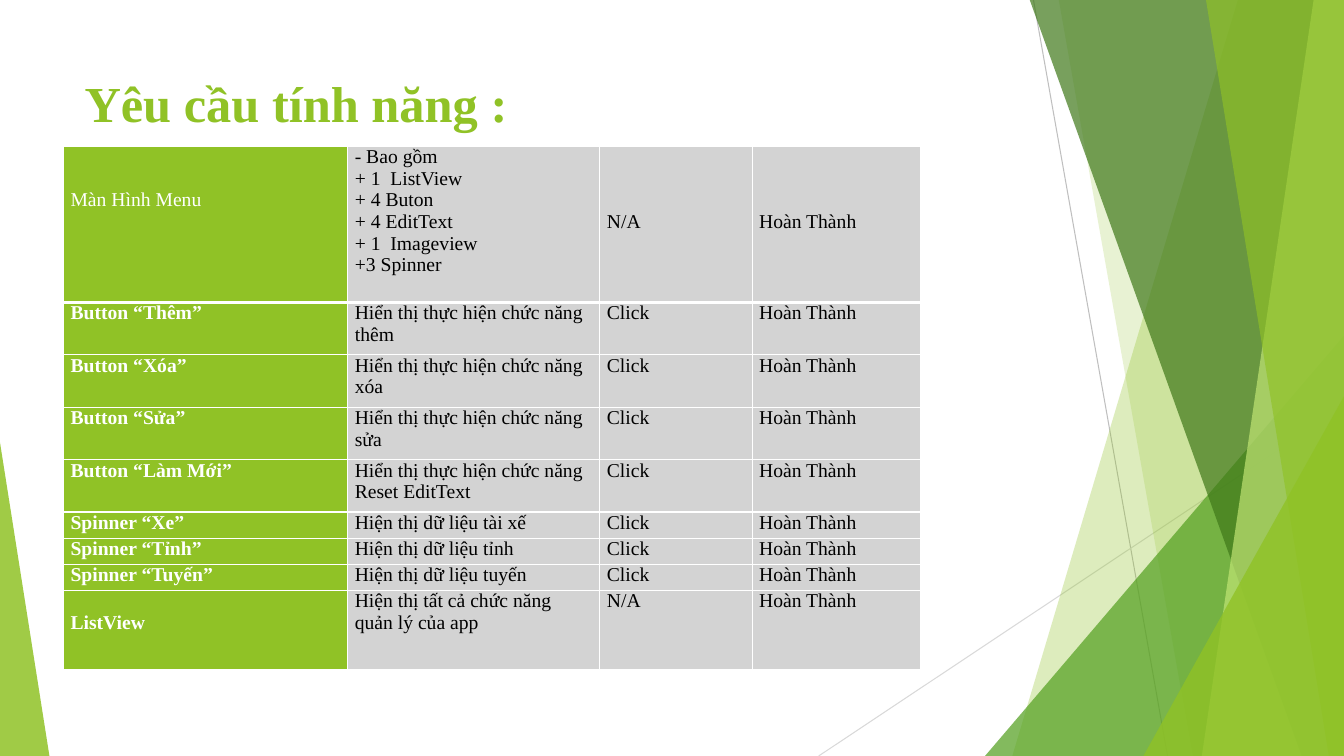
import dataclasses
import typing

import lxml.etree
import pptx
import pptx.dml.color
import pptx.enum.shapes
import pptx.enum.text
import pptx.oxml
import pptx.oxml.ns
import pptx.util

Inches = pptx.util.Inches
Point = tuple[float, float]


@dataclasses.dataclass(frozen=True)
class Theme:
    font: str = "Times New Roman"
    title_size: int = 36
    table_size: int = 14
    green: str = "90C226"
    leaf: str = "54A021"
    forest: str = "3F7819"
    lime: str = "C0E474"
    gray: str = "D3D3D3"
    black: str = "000000"
    white: str = "FFFFFF"
    dark_line: str = "BFBFBF"
    light_line: str = "D9D9D9"
    line_width: float = 0.75
    border: float = 1
    header_border: float = 3


@dataclasses.dataclass(frozen=True)
class Ray:
    start: Point
    end: Point
    color: str


@dataclasses.dataclass(frozen=True)
class Facet:
    points: tuple[Point, ...]
    color: str
    opacity: int


@dataclasses.dataclass(frozen=True)
class Corner:
    left: float
    top: float
    width: float
    height: float
    apex: float
    color: str
    opacity: int


@dataclasses.dataclass(frozen=True)
class Feature:
    name: str
    description: str
    event: str
    height: float
    name_lines_above: int = 0
    status_lines_above: int = 0
    bold: bool = True


THEME = Theme()
WIDTH, HEIGHT = 13.33, 7.5
TOP = -0.01
TEXT_LINE = 0.215
STATUS = "Hoàn Thành"
COLUMN_WIDTHS = (2.82, 2.5, 1.51, 1.67)


def facet(top_left: float, bottom_left: float, color: str, opacity: int) -> Facet:
    points = ((top_left, TOP), (WIDTH, TOP), (WIDTH, HEIGHT), (bottom_left, HEIGHT))
    return Facet(points, color, opacity)


RAYS = (
    Ray((10.25, 0), (11.58, HEIGHT), THEME.dark_line),
    Ray((WIDTH, 4.03), (8.12, HEIGHT), THEME.light_line),
)
DECORATIONS = (
    facet(12.28, 10.04, THEME.green, 30),
    facet(10.5, 11.83, THEME.green, 20),
    Corner(9.77, 3.33, 3.56, 4.17, 1, THEME.leaf, 72),
    facet(10.21, 12.91, THEME.forest, 70),
    facet(13.03, 11.92, THEME.lime, 70),
    facet(11.96, 13.18, THEME.green, 65),
    Corner(11.34, 3.93, 1.99, 3.57, 1, THEME.green, 80),
    Corner(0, 4.39, 0.49, 3.11, 0, THEME.green, 85),
)
MENU_PARTS = "\n".join((
    "- Bao gồm", "+ 1  ListView", "+ 4 Buton", "+ 4 EditText", "+ 1  Imageview", "+3 Spinner",
))
FEATURES = (
    Feature("Màn Hình Menu", MENU_PARTS, "N/A", 1.55, 2, 3, False),
    Feature("Button “Thêm”", "Hiển thị thực hiện chức năng thêm", "Click", 0.52),
    Feature("Button “Xóa”", "Hiển thị thực hiện chức năng xóa", "Click", 0.52),
    Feature("Button “Sửa”", "Hiển thị thực hiện chức năng sửa", "Click", 0.52),
    Feature("Button “Làm Mới”", "Hiển thị thực hiện chức năng Reset EditText", "Click", 0.52),
    Feature("Spinner “Xe”", "Hiện thị dữ liệu tài xế", "Click", 0.26),
    Feature("Spinner “Tỉnh”", "Hiện thị dữ liệu tỉnh", "Click", 0.26),
    Feature("Spinner “Tuyến”", "Hiện thị dữ liệu tuyến", "Click", 0.26),
    Feature("ListView", "Hiện thị tất cả chức năng quản lý của app", "N/A", 0.78, 1),
)


def rgb(color: str) -> pptx.dml.color.RGBColor:
    return pptx.dml.color.RGBColor.from_string(color)


def style_text(text_frame: typing.Any, size: int, color: str, bold: bool) -> None:
    for paragraph in text_frame.paragraphs:
        for run in paragraph.runs:
            run.font.name = THEME.font
            run.font.size = pptx.util.Pt(size)
            run.font.bold = bold
            run.font.color.rgb = rgb(color)


def draw_ray(slide: typing.Any, ray: Ray) -> None:
    ends = [Inches(value) for value in (*ray.start, *ray.end)]
    connector = slide.shapes.add_connector(pptx.enum.shapes.MSO_CONNECTOR.STRAIGHT, *ends)
    connector.line.color.rgb = rgb(ray.color)
    connector.line.width = pptx.util.Pt(THEME.line_width)
    lxml.etree.SubElement(connector._element.spPr, pptx.oxml.ns.qn("a:effectLst"))


def draw_decoration(slide: typing.Any, decoration: Facet | Corner) -> None:
    if isinstance(decoration, Facet):
        points = [(Inches(x), Inches(y)) for x, y in decoration.points]
        builder = slide.shapes.build_freeform(*points[0])
        builder.add_line_segments(points[1:], close=True)
        shape = builder.convert_to_shape()
    else:
        box = (decoration.left, decoration.top, decoration.width, decoration.height)
        shape = slide.shapes.add_shape(
            pptx.enum.shapes.MSO_SHAPE.ISOSCELES_TRIANGLE, *map(Inches, box))
        shape.adjustments[0] = decoration.apex
    shape.shadow.inherit = False
    shape.line.fill.background()
    shape.fill.solid()
    shape.fill.fore_color.rgb = rgb(decoration.color)
    color_element = shape._element.spPr.find(".//" + pptx.oxml.ns.qn("a:srgbClr"))
    alpha = lxml.etree.SubElement(color_element, pptx.oxml.ns.qn("a:alpha"))
    alpha.set("val", str(decoration.opacity * 1000))


def draw_title(slide: typing.Any, text: str) -> None:
    shape = slide.shapes.add_textbox(Inches(0.74), Inches(0.67), Inches(9.4), Inches(1.44))
    shape.text_frame.word_wrap = True
    shape.text_frame.text = text
    style_text(shape.text_frame, THEME.title_size, THEME.green, True)


def set_borders(cell: typing.Any, top: float, bottom: float) -> None:
    properties = cell._tc.get_or_add_tcPr()
    widths = {"lnL": THEME.border, "lnR": THEME.border, "lnT": top, "lnB": bottom}
    for index, (side, width) in enumerate(widths.items()):
        border = pptx.oxml.parse_xml(
            f'<a:{side} {pptx.oxml.ns.nsdecls("a")} w="{pptx.util.Pt(width)}">'
            f'<a:solidFill><a:srgbClr val="{THEME.white}"/></a:solidFill></a:{side}>')
        properties.insert(index, border)


def fill_cell(cell: typing.Any, text: str, lines_above: int, is_name: bool, bold: bool) -> None:
    cell.margin_left = cell.margin_right = Inches(0.07)
    cell.margin_top = Inches(lines_above * TEXT_LINE)
    cell.margin_bottom = 0
    cell.vertical_anchor = pptx.enum.text.MSO_ANCHOR.TOP
    cell.fill.solid()
    cell.fill.fore_color.rgb = rgb(THEME.green if is_name else THEME.gray)
    cell.text_frame.text = text
    style_text(cell.text_frame, THEME.table_size, THEME.white if is_name else THEME.black, bold)


def draw_table(slide: typing.Any, features: tuple[Feature, ...]) -> None:
    height = sum(feature.height for feature in features)
    table = slide.shapes.add_table(
        len(features), len(COLUMN_WIDTHS), Inches(0.63), Inches(1.45),
        Inches(sum(COLUMN_WIDTHS)), Inches(height)).table
    for column, width in zip(table.columns, COLUMN_WIDTHS):
        column.width = Inches(width)
    for index, feature in enumerate(features):
        row = table.rows[index]
        row.height = Inches(feature.height)
        contents = (
            (feature.name, feature.name_lines_above),
            (feature.description, 0),
            (feature.event, feature.status_lines_above),
            (STATUS, feature.status_lines_above),
        )
        top = THEME.header_border if index == 1 else THEME.border
        bottom = THEME.header_border if index == 0 else THEME.border
        for position, (cell, (text, lines_above)) in enumerate(zip(row.cells, contents)):
            is_name = position == 0
            fill_cell(cell, text, lines_above, is_name, is_name and feature.bold)
            set_borders(cell, top, bottom)


def main() -> None:
    presentation = pptx.Presentation()
    presentation.slide_width = Inches(WIDTH)
    presentation.slide_height = Inches(HEIGHT)
    slide = presentation.slides.add_slide(presentation.slide_layouts[6])
    for ray in RAYS:
        draw_ray(slide, ray)
    for decoration in DECORATIONS:
        draw_decoration(slide, decoration)
    draw_title(slide, "Yêu cầu tính năng :")
    draw_table(slide, FEATURES)
    presentation.save("out.pptx")


if __name__ == "__main__":
    main()
